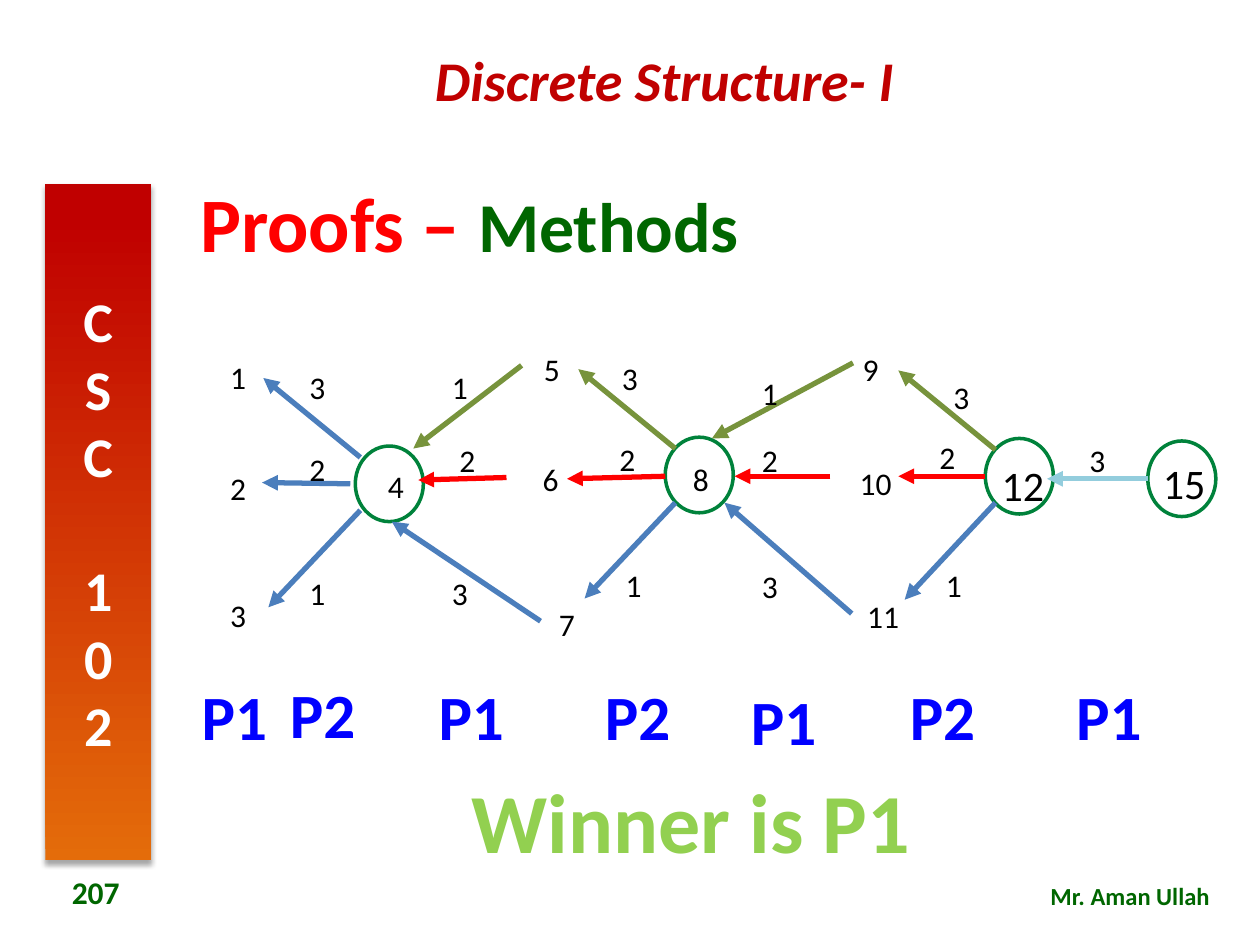
from dataclasses import dataclass
from typing import NamedTuple

from lxml.etree import SubElement
from pptx import Presentation
from pptx.dml.color import RGBColor
from pptx.enum.shapes import MSO_CONNECTOR, MSO_SHAPE
from pptx.enum.text import MSO_ANCHOR, PP_ALIGN
from pptx.oxml.ns import qn
from pptx.util import Inches, Pt


@dataclass(frozen=True)
class Theme:
    font: str = "Calibri"
    crimson: str = "C00000"
    orange: str = "E46C0A"
    dark_green: str = "006600"
    ring_green: str = "00823B"
    olive: str = "77933C"
    red: str = "FF0000"
    blue: str = "4B7EBC"
    sky: str = "93CDDD"
    player_blue: str = "0000FF"
    lime: str = "92D050"
    black: str = "000000"
    white: str = "FFFFFF"
    heading_size: int = 44
    subheading_size: int = 40
    course_size: int = 32
    winner_size: int = 48
    player_size: int = 36
    large_size: int = 24
    label_size: int = 18
    footer_size: int = 14


THEME = Theme()


class Frame(NamedTuple):
    left: float
    top: float
    width: float
    height: float


class Span(NamedTuple):
    text: str
    size: int
    color: str


class Label(NamedTuple):
    text: str
    center: float
    top: float


class State(NamedTuple):
    text: str
    ring_left: float
    ring_top: float
    text_left: float
    text_top: float
    size: int


class Arrow(NamedTuple):
    start: tuple[float, float]
    end: tuple[float, float]
    color: str


STATES = [
    State("4", 2.82, 3.54, 2.98, 3.66, THEME.label_size),
    State("8", 5.28, 3.47, 5.4, 3.6, THEME.label_size),
    State("12", 7.82, 3.48, 7.85, 3.6, THEME.large_size),
    State("15", 9.11, 3.5, 9.13, 3.58, THEME.large_size),
]
POSITIONS = [
    Label("1", 1.89, 2.79), Label("2", 1.89, 3.67), Label("3", 1.89, 4.68),
    Label("5", 4.38, 2.73), Label("6", 4.37, 3.6), Label("7", 4.5, 4.75),
    Label("9", 6.91, 2.73), Label("10", 6.95, 3.63), Label("11", 7.01, 4.69),
]
MOVES = [
    Label("3", 2.52, 2.87), Label("2", 2.52, 3.52), Label("1", 2.52, 4.51),
    Label("1", 3.65, 2.87), Label("2", 3.71, 3.45), Label("3", 3.65, 4.51),
    Label("3", 5, 2.8), Label("2", 4.98, 3.44), Label("1", 5.03, 4.44),
    Label("1", 6.11, 2.92), Label("2", 6.11, 3.45), Label("3", 6.11, 4.45),
    Label("3", 7.63, 2.95), Label("2", 7.52, 3.43), Label("1", 7.57, 4.44),
    Label("3", 8.71, 3.45),
]
PLAYERS = [
    Label("P1", 1.86, 5.33), Label("P2", 2.56, 5.31), Label("P1", 3.74, 5.33),
    Label("P2", 5.06, 5.33), Label("P1", 6.22, 5.37), Label("P2", 7.48, 5.33),
    Label("P1", 8.8, 5.33),
]
ARROWS = [
    Arrow((2.86, 3.63), (2.09, 3), THEME.blue),
    Arrow((2.78, 3.84), (2.08, 3.83), THEME.blue),
    Arrow((2.86, 4.05), (2.13, 4.82), THEME.blue),
    Arrow((4.14, 2.9), (3.28, 3.56), THEME.olive),
    Arrow((4.02, 3.79), (3.32, 3.81), THEME.red),
    Arrow((4.29, 4.93), (3.11, 4.14), THEME.blue),
    Arrow((5.36, 3.56), (4.59, 2.93), THEME.olive),
    Arrow((5.28, 3.78), (4.5, 3.8), THEME.red),
    Arrow((5.36, 3.99), (4.64, 4.75), THEME.blue),
    Arrow((6.77, 2.88), (5.65, 3.48), THEME.olive),
    Arrow((6.59, 3.78), (5.83, 3.78), THEME.red),
    Arrow((6.76, 4.87), (5.75, 3.99), THEME.blue),
    Arrow((7.9, 3.57), (7.13, 2.94), THEME.olive),
    Arrow((7.82, 3.78), (7.13, 3.78), THEME.red),
    Arrow((7.9, 3.99), (7.18, 4.76), THEME.blue),
    Arrow((9.11, 3.8), (8.31, 3.8), THEME.sky),
]


def inches(values):
    return [Inches(value) for value in values]


def color_of(value: str) -> RGBColor:
    return RGBColor.from_string(value)


def add_text(page, frame: Frame, spans: list[Span], align=PP_ALIGN.CENTER,
             bold=False, italic=False, anchor=MSO_ANCHOR.TOP, margin=0.1):
    box = page.shapes.add_textbox(*inches(frame))
    body = box.text_frame
    body.word_wrap = True
    body.vertical_anchor = anchor
    body.margin_left = body.margin_right = Inches(margin)
    para = body.paragraphs[0]
    para.alignment = align
    para.font.name = THEME.font
    para.font.bold = bold
    para.font.italic = italic
    for item in spans:
        span = para.add_run()
        span.text = item.text
        span.font.size = Pt(item.size)
        span.font.color.rgb = color_of(item.color)
    return para


def add_label(page, label: Label, width: float, height: float, size: int,
              color: str, bold=False) -> None:
    frame = Frame(label.center - width / 2, label.top, width, height)
    add_text(page, frame, [Span(label.text, size, color)], bold=bold, margin=0)


def add_state(page, state: State) -> None:
    ring = page.shapes.add_shape(
        MSO_SHAPE.OVAL, *inches((state.ring_left, state.ring_top, 0.54, 0.6)))
    ring.shadow.inherit = False
    ring.fill.background()
    ring.line.color.rgb = color_of(THEME.ring_green)
    ring.line.width = Pt(2)
    add_text(page, Frame(state.text_left, state.text_top, 0.61, 0.5),
             [Span(state.text, state.size, THEME.black)], PP_ALIGN.LEFT)


def add_arrow(page, arrow: Arrow) -> None:
    connector = page.shapes.add_connector(
        MSO_CONNECTOR.STRAIGHT, *inches(arrow.start + arrow.end))
    connector.line.color.rgb = color_of(arrow.color)
    connector.line.width = Pt(3)
    SubElement(connector.line._get_or_add_ln(), qn("a:tailEnd"), type="triangle")
    SubElement(connector._element.spPr, qn("a:effectLst"))


def add_course_bar(page) -> None:
    bar = page.shapes.add_shape(MSO_SHAPE.RECTANGLE, *inches((0.36, 1.46, 0.84, 5.37)))
    bar.line.fill.background()
    bar.fill.gradient()
    bar.fill.gradient_angle = 90
    stops = ((0, THEME.orange), (0.95, THEME.crimson))
    for stop, (position, color) in zip(bar.fill.gradient_stops, stops):
        stop.position = position
        stop.color.rgb = color_of(color)
    effects = SubElement(bar._element.spPr, qn("a:effectLst"))
    shadow = SubElement(effects, qn("a:outerShdw"), blurRad=str(Pt(3.1)),
                        dist=str(Pt(1.8)), dir="5400000", rotWithShape="0")
    shade = SubElement(shadow, qn("a:srgbClr"), val=THEME.black)
    SubElement(shade, qn("a:alpha"), val="35000")
    body = bar.text_frame
    body._txBody.bodyPr.set("vert", "wordArtVert")
    body.vertical_anchor = MSO_ANCHOR.MIDDLE
    para = body.paragraphs[0]
    para.alignment = PP_ALIGN.CENTER
    para.add_run().text = "CSC 102"
    para.font.name = THEME.font
    para.font.size = Pt(THEME.course_size)
    para.font.bold = True
    para.font.color.rgb = color_of(THEME.white)


def main() -> None:
    deck = Presentation()
    deck.slide_width, deck.slide_height = Inches(10), Inches(7.5)
    page = deck.slides.add_slide(deck.slide_layouts[6])

    add_text(page, Frame(2.11, 0.31, 6.33, 0.64),
             [Span("Discrete Structure- I", THEME.course_size, THEME.crimson)],
             bold=True, italic=True)
    add_course_bar(page)
    add_text(page, Frame(6.8, 6.94, 2.9, 0.34),
             [Span("Mr. Aman Ullah", THEME.footer_size, THEME.dark_green)],
             PP_ALIGN.RIGHT, bold=True)
    heading = add_text(page, Frame(1.49, 1.36, 8.39, 0.89),
                       [Span("Proofs – ", THEME.heading_size, THEME.red),
                        Span("Methods", THEME.subheading_size, THEME.dark_green)],
                       PP_ALIGN.LEFT, bold=True, anchor=MSO_ANCHOR.MIDDLE)
    heading.line_spacing = 0.9
    add_text(page, Frame(0.24, 6.88, 1.04, 0.4),
             [Span("207", THEME.label_size, THEME.dark_green)],
             bold=True, anchor=MSO_ANCHOR.MIDDLE)

    for state in STATES:
        add_state(page, state)
    for arrow in ARROWS:
        add_arrow(page, arrow)
    for label in POSITIONS + MOVES:
        add_label(page, label, 0.4, 0.35, THEME.label_size, THEME.black)
    for player in PLAYERS:
        add_label(page, player, 0.72, 0.61, THEME.player_size, THEME.player_blue, True)
    add_text(page, Frame(3.07, 6.06, 4.83, 0.91),
             [Span("Winner is P1", THEME.winner_size, THEME.lime)], bold=True)
    deck.save("out.pptx")


if __name__ == "__main__":
    main()
